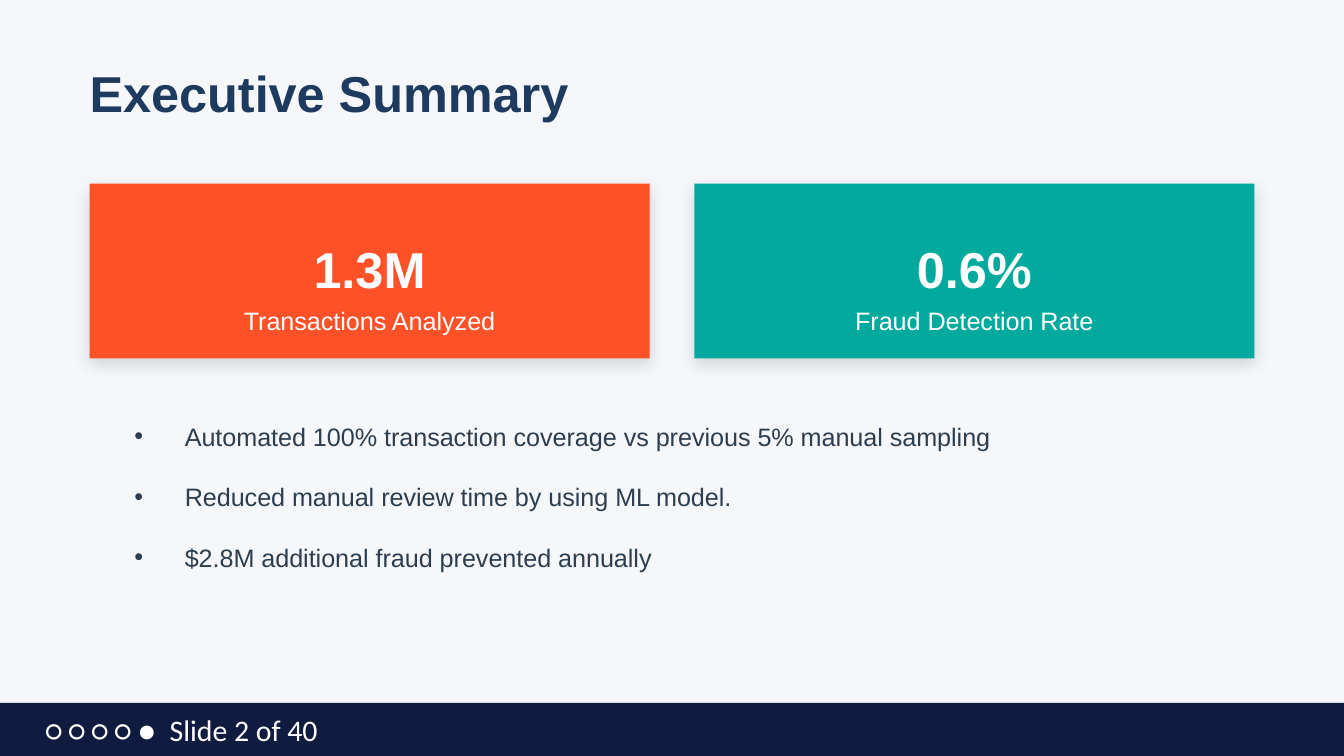
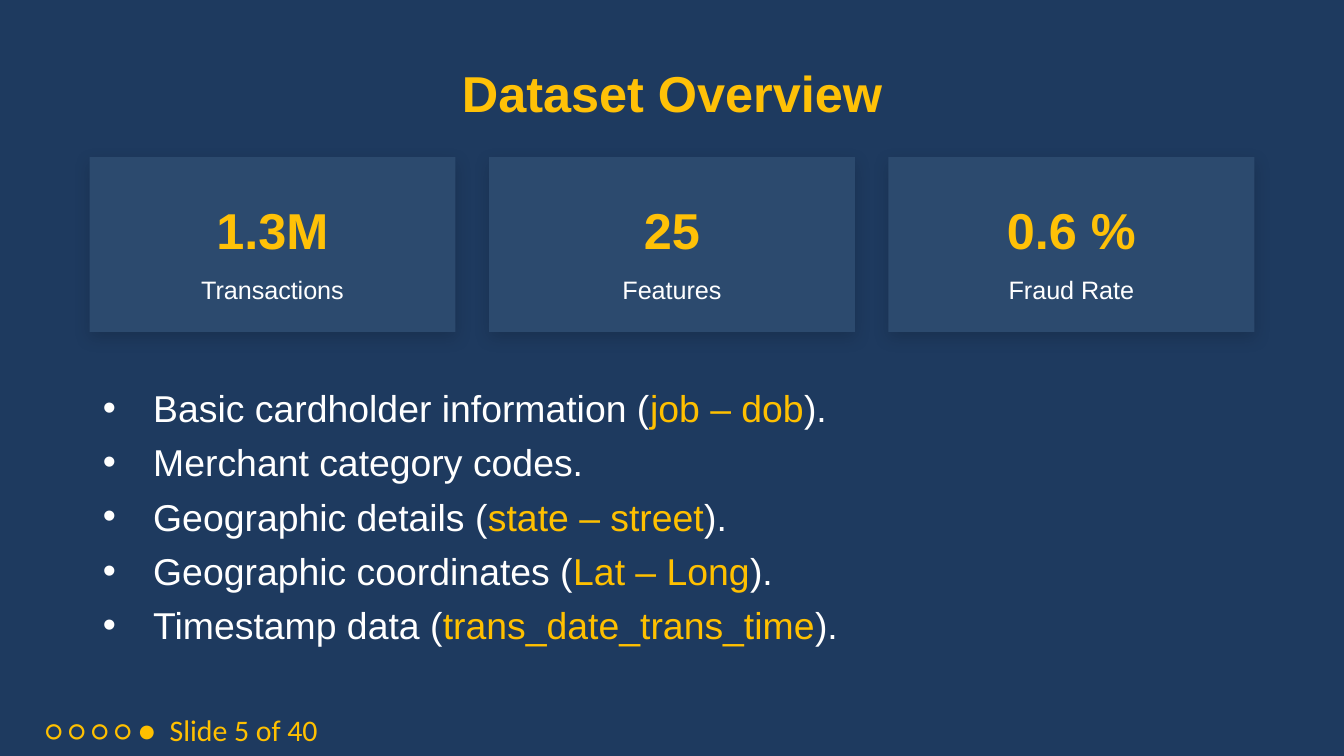
from dataclasses import dataclass

from lxml import etree
from pptx import Presentation
from pptx.dml.color import RGBColor
from pptx.enum.shapes import MSO_SHAPE
from pptx.enum.text import MSO_ANCHOR, PP_ALIGN
from pptx.oxml.ns import qn
from pptx.util import Pt

RECT = MSO_SHAPE.RECTANGLE
LEFT, CENTER = PP_ALIGN.LEFT, PP_ALIGN.CENTER
TOP, MIDDLE = MSO_ANCHOR.TOP, MSO_ANCHOR.MIDDLE


@dataclass(frozen=True)
class Theme:
    # Colours
    pale: str = "F5F7FA"
    navy: str = "1E3A5F"
    slate: str = "2C4A6E"
    ink: str = "2C3E50"
    midnight: str = "0F1C3F"
    orange: str = "FF5128"
    teal: str = "02AA9D"
    yellow: str = "FFC107"
    amber: str = "FFC000"
    white: str = "FFFFFF"
    # Fonts and sizes
    body_font: str = "Arial"
    footer_font: str = "Calibri"
    big: float = 27
    small: float = 13.5
    list_size: float = 20
    footer_size: float = 16
    # Page grid
    width: float = 720
    height: float = 405
    margin: float = 48
    card_height: float = 93.6
    card_inset: float = 16
    indent: float = 27


class Deck:
    def __init__(self, theme):
        self.t = theme
        self.prs = Presentation()
        self.prs.slide_width = Pt(theme.width)
        self.prs.slide_height = Pt(theme.height)
        self.slide = None

    def new_slide(self, color):
        self.slide = self.prs.slides.add_slide(self.prs.slide_layouts[6])
        fill = self.slide.background.fill
        fill.solid()
        fill.fore_color.rgb = RGBColor.from_string(color)

    def rect(self, x, y, w, h, color, shadow=False):
        sp = self.slide.shapes.add_shape(RECT, Pt(x), Pt(y), Pt(w), Pt(h))
        sp.shadow.inherit = False
        sp.fill.solid()
        sp.fill.fore_color.rgb = RGBColor.from_string(color)
        sp.line.fill.background()
        if shadow:
            effects = sp._element.spPr.find(qn("a:effectLst"))
            outer = etree.SubElement(
                effects, qn("a:outerShdw"), blurRad=str(Pt(9)), dist=str(Pt(3)),
                dir="5400000", algn="bl", rotWithShape="0")
            black = etree.SubElement(outer, qn("a:srgbClr"), val="000000")
            etree.SubElement(black, qn("a:alpha"), val="15000")

    def box(self, x, y, w, h, inset=(0, 0), anchor=TOP):
        sp = self.slide.shapes.add_textbox(Pt(x), Pt(y), Pt(w), Pt(h))
        tf = sp.text_frame
        side, edge = inset
        frame = {"word_wrap": True, "vertical_anchor": anchor,
                 "margin_left": Pt(side), "margin_right": Pt(side),
                 "margin_top": Pt(edge), "margin_bottom": Pt(edge)}
        for name, value in frame.items():
            setattr(tf, name, value)
        return tf

    def run(self, p, text, size, color, bold=False, font=None):
        r = p.add_run()
        r.text = text
        style = {"name": font or self.t.body_font, "size": Pt(size), "bold": bold}
        for name, value in style.items():
            setattr(r.font, name, value)
        r.font.color.rgb = RGBColor.from_string(color)

    def line(self, x, y, w, h, text, size, color, spacing, align=CENTER, bold=False):
        p = self.box(x, y, w, h).paragraphs[0]
        p.alignment = align
        p.line_spacing = Pt(spacing)
        self.run(p, text, size, color, bold)

    def title(self, text, color, x, align):
        self.line(x, 22.3, 636, 32.4, text, self.t.big, color, 43.2, align, True)

    def cards(self, items, top, gap, value_dy, label_dy, value_color):
        """Equal cards across the content width; items are (value, label, fill)."""
        t = self.t
        w = (t.width - 2 * t.margin - gap * (len(items) - 1)) / len(items)
        for i, (value, label, fill) in enumerate(items):
            x = t.margin + i * (w + gap)
            self.rect(x, top, w, t.card_height, fill, shadow=True)
            tx, tw = x + t.card_inset, w - 2 * t.card_inset
            self.line(tx, top + value_dy, tw, 32.4, value, t.big, value_color, 43.2, bold=True)
            self.line(tx, top + label_dy, tw, 18.7, label, t.small, t.white, 25.2)

    def bullets(self, tf, items, size, colors, line_spacing=None, space_before=None):
        """Each item is a tuple of runs that alternate between the two colours."""
        for i, parts in enumerate(items):
            p = tf.paragraphs[0] if i == 0 else tf.add_paragraph()
            pPr = p._p.get_or_add_pPr()
            pPr.set("marL", str(Pt(self.t.indent)))
            pPr.set("indent", str(-Pt(self.t.indent)))
            etree.SubElement(pPr, qn("a:buFont"), typeface=self.t.body_font)
            etree.SubElement(pPr, qn("a:buChar"), char="•")
            if line_spacing:
                p.line_spacing = Pt(line_spacing)
            if space_before and i:
                p.space_before = Pt(space_before)
            for j, text in enumerate(parts):
                self.run(p, text, size, colors[j % 2])

    def footer(self, number, color, band=None):
        t = self.t
        if band:
            self.rect(0, 376.5, t.width, t.height - 376.5, band)
        p = self.box(17.3, 378, 256, 28, (7.2, 3.6), MIDDLE).paragraphs[0]
        tabs = etree.SubElement(p._p.get_or_add_pPr(), qn("a:tabLst"))
        etree.SubElement(tabs, qn("a:tab"), pos=str(Pt(66.5)), algn="l")
        p.line_spacing = 0.9
        self.run(p, f"○ ○ ○ ○ ●\tSlide {number} of 40", t.footer_size, color,
                 font=t.footer_font)


def executive_summary(deck):
    t = deck.t
    deck.new_slide(t.pale)
    deck.title("Executive Summary", t.navy, t.margin, LEFT)
    # Key figures
    deck.cards([("1.3M", "Transactions Analyzed", t.orange),
                ("0.6%", "Fraud Detection Rate", t.teal)],
               top=98.4, gap=24, value_dy=18.2, label_dy=56.4, value_color=t.white)
    # Findings
    findings = [("Automated 100% transaction coverage vs previous 5% manual sampling",),
                ("Reduced manual review time by using ML model.",),
                ("$2.8M additional fraud prevented annually",)]
    deck.bullets(deck.box(72, 209.5, 600, 90.7), findings, t.small,
                 (t.ink, t.ink), line_spacing=32.4)
    deck.footer(2, t.white, band=t.midnight)


def dataset_overview(deck):
    t = deck.t
    deck.new_slide(t.navy)
    deck.title("Dataset Overview", t.yellow, 42, CENTER)
    # Key figures
    deck.cards([("1.3M", "Transactions", t.slate),
                ("25", "Features", t.slate),
                ("0.6 %", "Fraud Rate", t.slate)],
               top=84.2, gap=18, value_dy=11.5, label_dy=54, value_color=t.yellow)
    # Fields in the data
    fields = [("Basic cardholder information (", "job – dob", ")."),
              ("Merchant category codes.",),
              ("Geographic details (", "state – street", ")."),
              ("Geographic coordinates (", "Lat – Long", ")."),
              ("Timestamp data (", "trans_date_trans_time", ").")]
    deck.bullets(deck.box(t.margin, 203, 579, 155, (7.2, 3.6)), fields, t.list_size,
                 (t.white, t.amber), space_before=5)
    deck.footer(5, t.amber)


def main():
    deck = Deck(Theme())
    executive_summary(deck)
    dataset_overview(deck)
    deck.prs.save("out.pptx")


if __name__ == "__main__":
    main()
